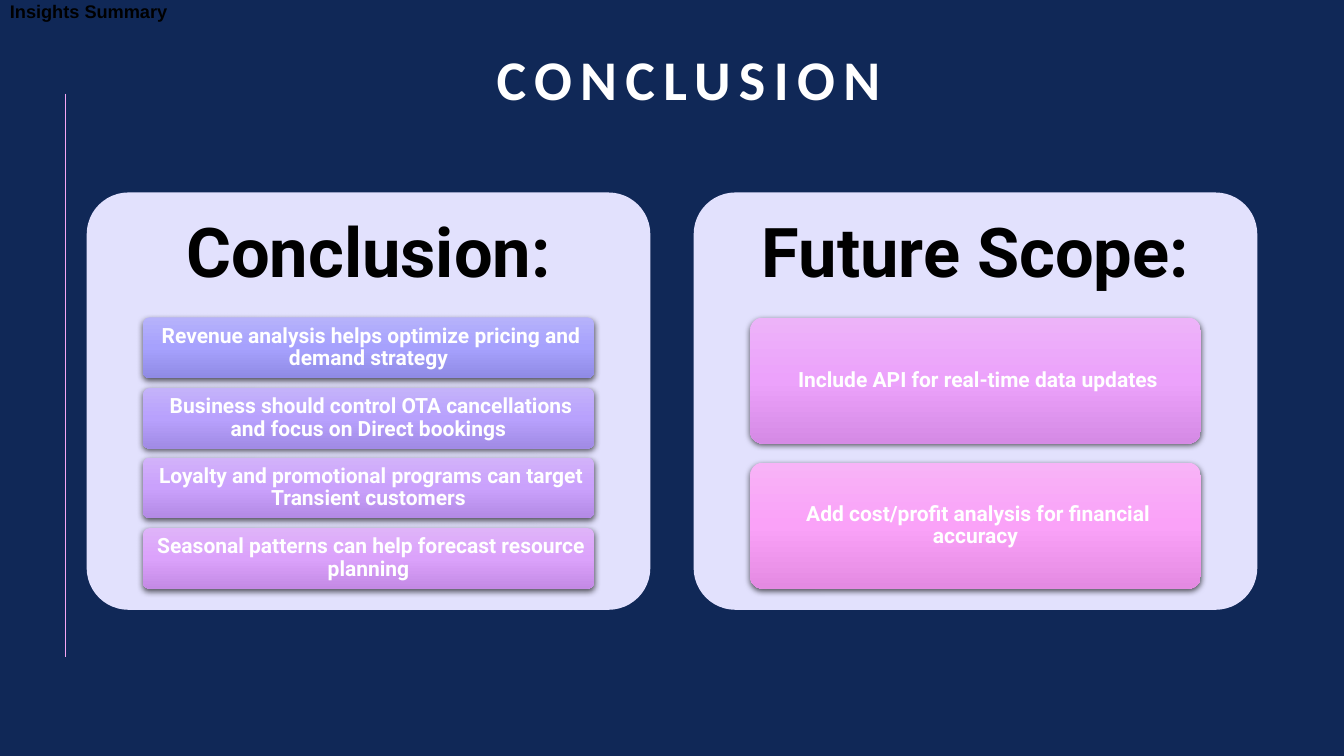
from copy import deepcopy

from lxml import etree
from pptx import Presentation
from pptx import util as u
from pptx.dml import color
from pptx.enum import shapes, text
from pptx.oxml import ns

PX = 9144
GAP_RATIO = 0.154

HEADING = {"name": "Calibri", "size": u.Pt(40), "bold": True}
PANEL_TITLE = {"name": "Roboto", "size": u.Pt(49), "bold": True}
CARD_TEXT = {"name": "Roboto", "size": u.Pt(15), "bold": True}
LABEL = {"name": "Arial", "size": u.Pt(13), "bold": True}

PANELS = [
    ("Conclusion:", [
        (" Revenue analysis helps optimize pricing and demand strategy",
         ("B6B2FB", "A6A1FD", "908BE5")),
        (" Business should control OTA cancellations and focus on Direct bookings",
         ("C4B2FA", "B8A1FD", "A18BE5")),
        (" Loyalty and promotional programs can target Transient customers",
         ("D2B2FA", "CAA1FC", "B38AE5")),
        (" Seasonal patterns can help forecast resource planning",
         ("DFB3F9", "DBA2FB", "C48AE5")),
    ]),
    ("Future Scope:", [
        (" Include API for real-time data updates",
         ("EDB3F9", "ECA2FB", "D58AE5")),
        (" Add cost/profit analysis for financial accuracy",
         ("F8B3F7", "FAA2F8", "E48AE2")),
    ]),
]


def px(*lengths):
    return [u.Emu(round(length) * PX) for length in lengths]


def rgb(value):
    return color.RGBColor.from_string(value)


def set_all(target, values):
    for name, value in values.items():
        setattr(target, name, value)


def write(shape, words, font, ink, inset=(0, 0), centred=True):
    side, edge = px(*inset)
    frame = shape.text_frame
    set_all(frame, {
        "word_wrap": True,
        "margin_left": side, "margin_right": side,
        "margin_top": edge, "margin_bottom": edge,
        "vertical_anchor": text.MSO_ANCHOR.MIDDLE if centred else text.MSO_ANCHOR.TOP,
    })
    para = frame.paragraphs[0]
    set_all(para, {
        "alignment": text.PP_ALIGN.CENTER if centred else text.PP_ALIGN.LEFT,
        "line_spacing": 0.9 if centred else 1.0,
    })
    span = para.add_run()
    span.text = words
    set_all(span.font, font)
    span.font.color.rgb = rgb(ink)
    return span


def add_text(page, box, *args, **options):
    return write(page.shapes.add_textbox(*px(*box)), *args, **options)


def add_rounded(page, box):
    shape = page.shapes.add_shape(shapes.MSO_SHAPE.ROUNDED_RECTANGLE, *px(*box))
    shape.adjustments[0] = 0.1
    shape.line.fill.background()
    shape.shadow.inherit = False
    return shape


def add_gradient(shape, tones):
    shape.fill.gradient()
    shape.fill.gradient_angle = 270
    stop_list = shape._element.spPr.find(".//" + ns.qn("a:gsLst"))
    stop_list.append(deepcopy(stop_list[0]))
    for stop, position, tone in zip(shape.fill.gradient_stops, (0, 0.5, 1), tones):
        stop.position = position
        stop.color.rgb = rgb(tone)


def add_shadow(shape):
    effects = shape._element.spPr.find(ns.qn("a:effectLst"))
    shadow = etree.SubElement(effects, ns.qn("a:outerShdw"), {
        "blurRad": str(u.Pt(4.5)), "dist": str(u.Pt(1.5)),
        "dir": "5400000", "algn": "ctr", "rotWithShape": "0"})
    tone = etree.SubElement(shadow, ns.qn("a:srgbClr"), val="000000")
    etree.SubElement(tone, ns.qn("a:alpha"), val="63000")


def add_card(page, box, words, tones):
    card = add_rounded(page, box)
    add_gradient(card, tones)
    add_shadow(card)
    write(card, words, CARD_TEXT, "FFFFFF", inset=(6, 4))


def add_panel(page, box, title, cards):
    left, top, width, height = box
    panel = add_rounded(page, box)
    panel.fill.solid()
    panel.fill.fore_color.rgb = rgb("E2E1FD")
    add_text(page, (left, top, width, 124), title, PANEL_TITLE, "000000", inset=(20, 20))
    stack = height - 124 - 21
    card_height = stack / (len(cards) + GAP_RATIO * (len(cards) - 1))
    pitch = card_height * (1 + GAP_RATIO)
    for index, (words, tones) in enumerate(cards):
        card_box = (left + 56, top + 124 + index * pitch, width - 112, card_height)
        add_card(page, card_box, words, tones)


def add_rule(page, box):
    left, top, width, height = box
    rule = page.shapes.add_connector(
        shapes.MSO_CONNECTOR.STRAIGHT, *px(left, top, left + width, top + height))
    rule.line.color.rgb = rgb("F6A6F4")
    rule.line.width = u.Pt(0.5)
    etree.SubElement(rule._element.spPr, ns.qn("a:effectLst"))


def add_heading(page, box):
    span = add_text(page, box, "CONCLUSION", HEADING, "FFFFFF", inset=(10, 5))
    span.font._element.set("spc", "600")


def main():
    deck = Presentation()
    deck.slide_width, deck.slide_height = px(1333, 750)
    page = deck.slides.add_slide(deck.slide_layouts[6])
    page.background.fill.solid()
    page.background.fill.fore_color.rgb = rgb("102857")
    add_rule(page, (65, 93, 0, 559))
    add_heading(page, (88, 23, 1190, 117))
    for index, (title, cards) in enumerate(PANELS):
        add_panel(page, (86 + index * 602, 191, 559, 414), title, cards)
    add_text(page, (0, 0, 1333, 50), "Insights Summary", LABEL, "000000",
             inset=(10, 0), centred=False)
    deck.save("out.pptx")


if __name__ == "__main__":
    main()
